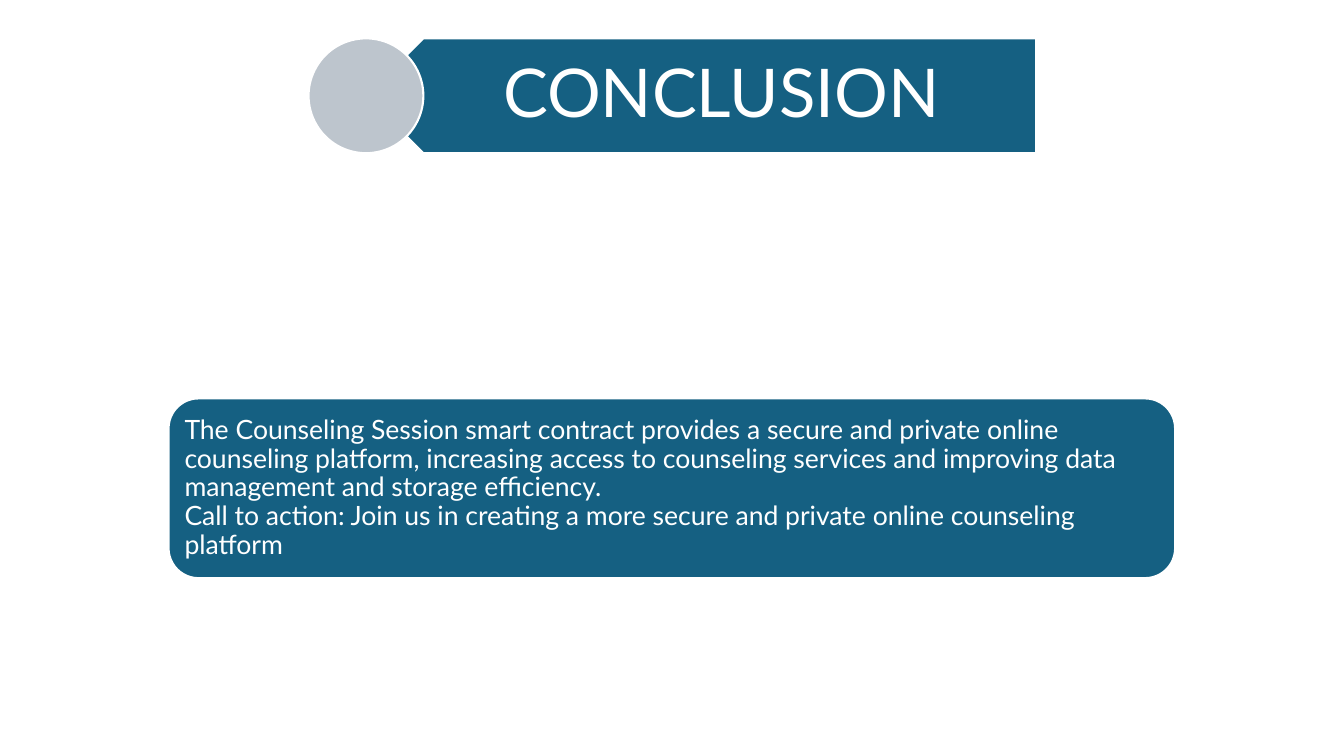
from pptx import Presentation
from pptx.dml.color import RGBColor
from pptx.enum.shapes import MSO_SHAPE as SHAPE
from pptx.enum.text import MSO_ANCHOR as ANCHOR, MSO_AUTO_SIZE as AUTO, PP_ALIGN as ALIGN
from pptx.util import Pt
from lxml.etree import SubElement
from pptx.oxml.ns import qn

TEAL = RGBColor(0x15, 0x60, 0x82)
GREY = RGBColor(0xBD, 0xC5, 0xCD)
WHITE = RGBColor(0xFF, 0xFF, 0xFF)


class Deck:
    """Holds the style and the current slide, and draws its elements."""

    font = "Lato"
    outline = 1.5
    spacing = 0.9

    def __init__(self, prs):
        self.slide = prs.slides.add_slide(prs.slide_layouts[1])

    def shape(self, kind, box, fill, rotation=0):
        sp = self.slide.shapes.add_shape(kind, *map(Pt, box))
        sp.shadow.inherit = False
        sp.rotation = rotation
        sp.fill.solid()
        sp.fill.fore_color.rgb = fill
        sp.line.color.rgb = WHITE
        sp.line.width = Pt(self.outline)

    def text(self, sp, box, insets, lines, size, align):
        sp.left, sp.top, sp.width, sp.height = map(Pt, box)
        self.slide.shapes._spTree.append(sp._element)
        tf = sp.text_frame
        tf.word_wrap = True
        tf.auto_size = AUTO.NONE
        tf.vertical_anchor = ANCHOR.MIDDLE
        tf.margin_left, tf.margin_top, tf.margin_right, tf.margin_bottom = map(Pt, insets)
        p = tf.paragraphs[0]
        p.alignment = align
        p.line_spacing = self.spacing
        p.space_before = p.space_after = Pt(0)
        pPr = p._p.get_or_add_pPr()
        pPr.set("marL", "0")
        pPr.set("indent", "0")
        SubElement(pPr, qn("a:buNone"))
        for i, line in enumerate(lines):
            if i:
                p.add_line_break()
            r = p.add_run()
            r.text = line
            r.font.name = self.font
            r.font.size = Pt(size)
            r.font.color.rgb = WHITE


def main():
    prs = Presentation()
    prs.slide_width, prs.slide_height = Pt(960), Pt(540)
    deck = Deck(prs)
    title, body = deck.slide.placeholders

    top, height = 27.4, 82
    deck.shape(SHAPE.PENTAGON, (261.4, top, 478.8, height), TEAL, rotation=180)
    deck.text(title, (281.6, top, 458, height), (36, 14.4, 26.6, 14.4),
              ["CONCLUSION"], 48, ALIGN.CENTER)
    deck.shape(SHAPE.OVAL, (220.4, top, height, height), GREY)

    deck.shape(SHAPE.ROUNDED_RECTANGLE, (120.4, 284.6, 719, 128.4), TEAL)
    deck.text(body, (126, 290.2, 707, 117), (5.8,) * 4, [
        "The Counseling Session smart contract provides a secure and private online "
        "counseling platform, increasing access to counseling services and improving "
        "data management and storage efficiency.",
        "Call to action: Join us in creating a more secure and private online "
        "counseling platform",
    ], 19, ALIGN.LEFT)

    prs.save("out.pptx")


if __name__ == "__main__":
    main()
